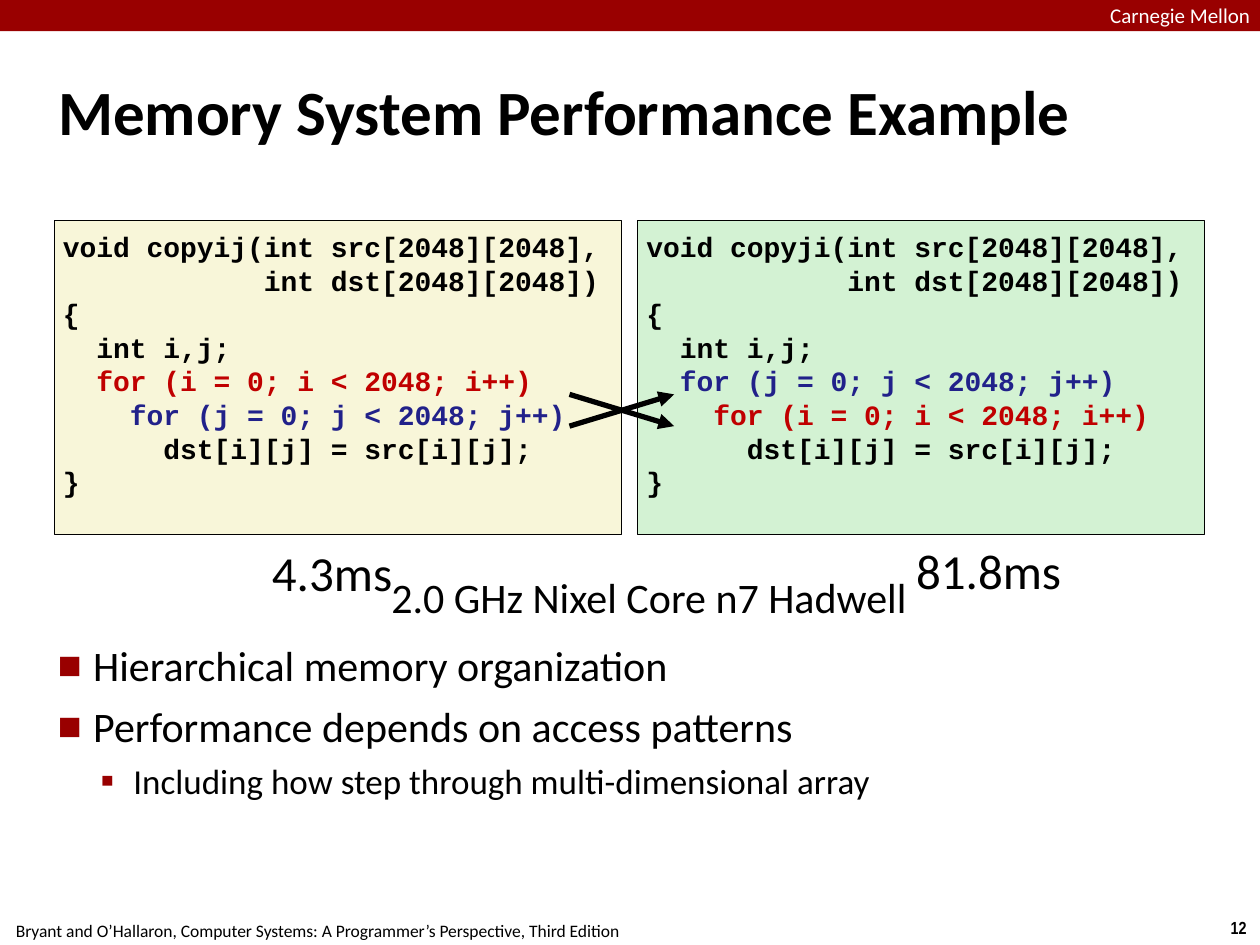
from dataclasses import dataclass

from lxml.etree import SubElement
from pptx import Presentation
from pptx.dml.color import RGBColor as RGB
from pptx.enum.shapes import MSO_CONNECTOR as Connector
from pptx.enum.shapes import MSO_SHAPE as Shape
from pptx.enum.text import MSO_ANCHOR as Anchor
from pptx.enum.text import MSO_AUTO_SIZE as AutoSize
from pptx.enum.text import PP_ALIGN as Align
from pptx.oxml.ns import qn
from pptx.util import Cm, Pt


@dataclass(frozen=True)
class Theme:
    font: str = "Calibri"
    code_font: str = "Courier New"
    number_font: str = "Arial Narrow"
    black: str = "000000"
    white: str = "FFFFFF"
    accent: str = "990000"
    row_loop: str = "C00000"
    column_loop: str = "21218A"
    cream: str = "F8F6D9"
    mint: str = "D3F2D3"
    title: float = 36
    timing: float = 28
    body: float = 24
    detail: float = 20
    code: float = 16
    code_line: float = 19.2
    banner: float = 12
    footer: float = 10


THEME = Theme()


def add_run(paragraph, text, size, color=THEME.black, font=THEME.font, bold=False):
    run = paragraph.add_run()
    run.text = text
    run.font.size = Pt(size)
    run.font.name = font
    run.font.bold = bold
    run.font.color.rgb = RGB.from_string(color)


def set_frame(frame, margin, wrap=True, anchor=Anchor.TOP):
    frame.auto_size = AutoSize.NONE
    frame.word_wrap = wrap
    frame.vertical_anchor = anchor
    frame.margin_left = frame.margin_right = Cm(margin)
    frame.margin_top = frame.margin_bottom = Cm(margin)


def add_rectangle(slide, box, fill):
    shape = slide.shapes.add_shape(Shape.RECTANGLE, *map(Cm, box))
    shape.shadow.inherit = False
    shape.fill.solid()
    shape.fill.fore_color.rgb = RGB.from_string(fill)
    shape.line.fill.background()
    return shape


def add_label(slide, box, text, size, margin=0.1, align=Align.CENTER, **style):
    frame = slide.shapes.add_textbox(*map(Cm, box)).text_frame
    set_frame(frame, margin, wrap=False)
    paragraph = frame.paragraphs[0]
    paragraph.alignment = align
    add_run(paragraph, text, size, **style)


def add_banner(slide, box):
    left, top, width, height = box
    add_rectangle(slide, box, THEME.accent)
    add_label(slide, (left + width - 3.02, top + 0.05, 3.02, 0.48), "Carnegie Mellon",
              THEME.banner, margin=0, align=Align.LEFT, color=THEME.white)


def add_title(slide, box, text):
    title = slide.shapes.title
    title.left, title.top, title.width, title.height = map(Cm, box)
    set_frame(title.text_frame, 0.1, anchor=Anchor.MIDDLE)
    paragraph = title.text_frame.paragraphs[0]
    paragraph.alignment = Align.LEFT
    add_run(paragraph, text, THEME.title, bold=True)


def add_code(slide, box, fill, name, loops):
    shape = add_rectangle(slide, box, fill)
    shape.line.color.rgb = RGB.from_string(THEME.black)
    shape.line.width = Pt(0.5)
    frame = shape.text_frame
    set_frame(frame, 0.18)
    loop_colors = {"i": THEME.row_loop, "j": THEME.column_loop}
    loop_lines = [
        ("  " * depth + f"for ({index} = 0; {index} < 2048; {index}++)", loop_colors[index])
        for depth, index in enumerate(loops, start=1)
    ]
    lines = [
        (f"void {name}(int src[2048][2048],", THEME.black),
        ("            int dst[2048][2048])", THEME.black),
        ("{", THEME.black),
        ("  int i,j;", THEME.black),
        *loop_lines,
        ("      dst[i][j] = src[i][j];", THEME.black),
        ("}", THEME.black),
    ]
    for number, (text, color) in enumerate(lines):
        paragraph = frame.add_paragraph() if number else frame.paragraphs[0]
        paragraph.alignment = Align.LEFT
        paragraph.line_spacing = Pt(THEME.code_line)
        add_run(paragraph, text, THEME.code, color, THEME.code_font, bold=True)


def add_swap_arrows(slide, box):
    left, top, width, height = box
    bottom = top + height
    for start, end in ((top, bottom), (bottom, top)):
        arrow = slide.shapes.add_connector(
            Connector.STRAIGHT, Cm(left), Cm(start), Cm(left + width), Cm(end))
        arrow.line.color.rgb = RGB.from_string(THEME.black)
        arrow.line.width = Pt(3)
        SubElement(arrow.line._get_or_add_ln(), qn("a:tailEnd"), type="triangle")
        SubElement(arrow._element.spPr, qn("a:effectLst"))


def add_timings(slide, box):
    left, top, width, height = box
    add_label(slide, (left, top, 2.97, 1.45), "4.3ms", THEME.timing, margin=0.13)
    add_label(slide, (left + width - 3.18, top, 3.18, 1.42), "81.8ms", THEME.timing)
    add_label(slide, (left + 2.77, top + height - 1.24, 10.21, 1.24),
              "2.0 GHz Nixel Core n7 Hadwell", THEME.body)


def set_bullet(paragraph, symbol, percent, margin, hanging):
    properties = paragraph._p.get_or_add_pPr()
    properties.set("marL", str(Cm(margin)))
    properties.set("indent", str(-Cm(hanging)))
    color = SubElement(properties, qn("a:buClr"))
    SubElement(color, qn("a:srgbClr"), val=THEME.accent)
    SubElement(properties, qn("a:buSzPct"), val=str(percent * 1000))
    SubElement(properties, qn("a:buFont"), typeface=THEME.font)
    SubElement(properties, qn("a:buChar"), char=symbol)


def add_points(slide, box, points):
    frame = slide.shapes.add_textbox(*map(Cm, box)).text_frame
    set_frame(frame, 0.1)
    levels = (
        (THEME.body, 6, ("■", 60, 0.71, 0.71)),
        (THEME.detail, 5, ("▪", 110, 1.52, 0.66)),
    )
    for number, (level, text) in enumerate(points):
        size, space, bullet = levels[level]
        paragraph = frame.add_paragraph() if number else frame.paragraphs[0]
        paragraph.level = level
        set_bullet(paragraph, *bullet)
        if number:
            paragraph.space_before = Pt(space)
        add_run(paragraph, text, size)


def add_footer(slide, box):
    left, top, width, height = box
    add_label(slide, (left - 0.05, top + 0.05, 12.9, height),
              "Bryant and O’Hallaron, Computer Systems: A Programmer’s Perspective, Third Edition",
              THEME.footer, margin=0.13)
    add_label(slide, (left + width - 0.86, top, 0.86, height), "12", THEME.footer,
              margin=0.13, font=THEME.number_font, bold=True)


def main():
    presentation = Presentation()
    presentation.slide_width, presentation.slide_height = Cm(25.4), Cm(19.05)
    slide = presentation.slides.add_slide(presentation.slide_layouts[5])
    add_footer(slide, (0, 18.36, 25.4, 0.69))
    add_banner(slide, (0, 0, 25.4, 0.63))
    add_title(slide, (1.07, 0.71, 23.29, 3.02), "Memory System Performance Example")
    add_points(slide, (1.07, 12.8, 23.29, 6.17), (
        (0, "Hierarchical memory organization"),
        (0, "Performance depends on access patterns"),
        (1, "Including how step through multi-dimensional array"),
    ))
    add_code(slide, (12.85, 4.45, 11.43, 6.32), THEME.mint, "copyji", "ji")
    add_code(slide, (1.09, 4.45, 11.43, 6.32), THEME.cream, "copyij", "ij")
    add_swap_arrows(slide, (11.48, 7.95, 2.11, 0.64))
    add_timings(slide, (5.21, 10.8, 16.31, 1.87))
    presentation.save("out.pptx")


if __name__ == "__main__":
    main()
